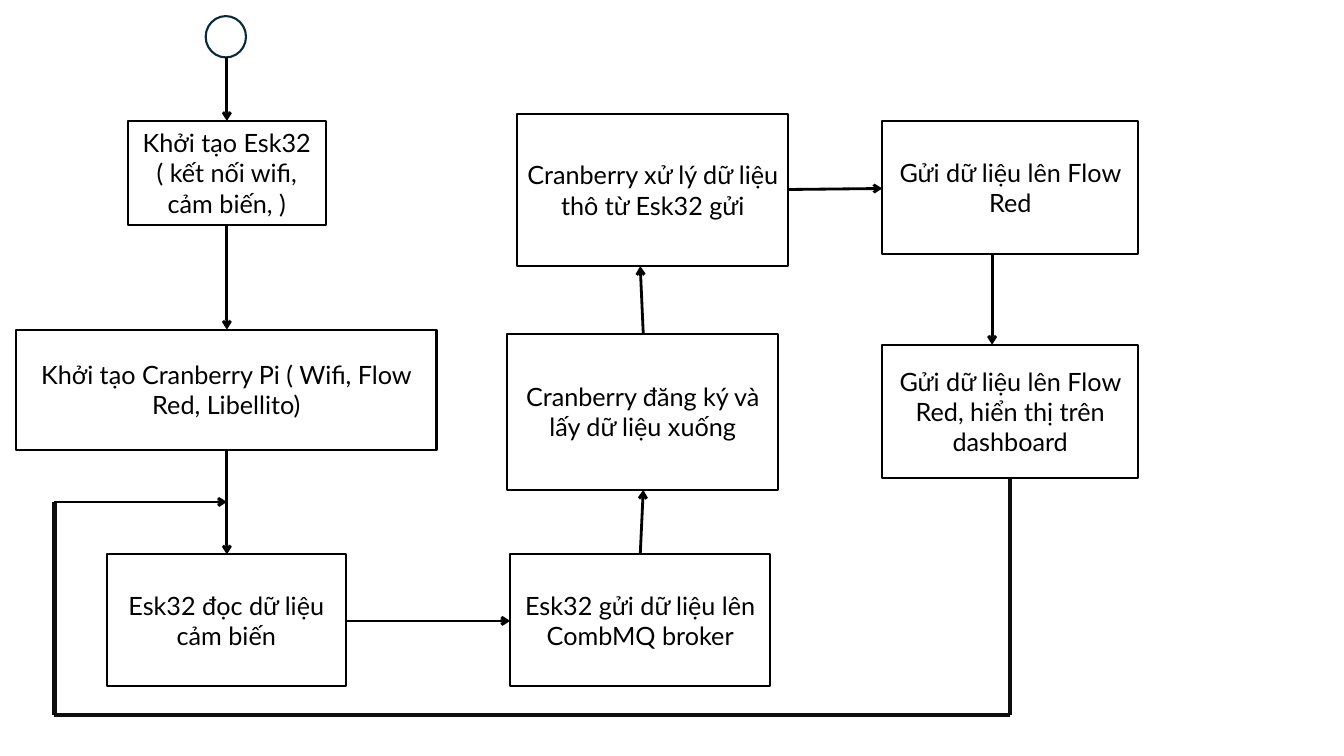
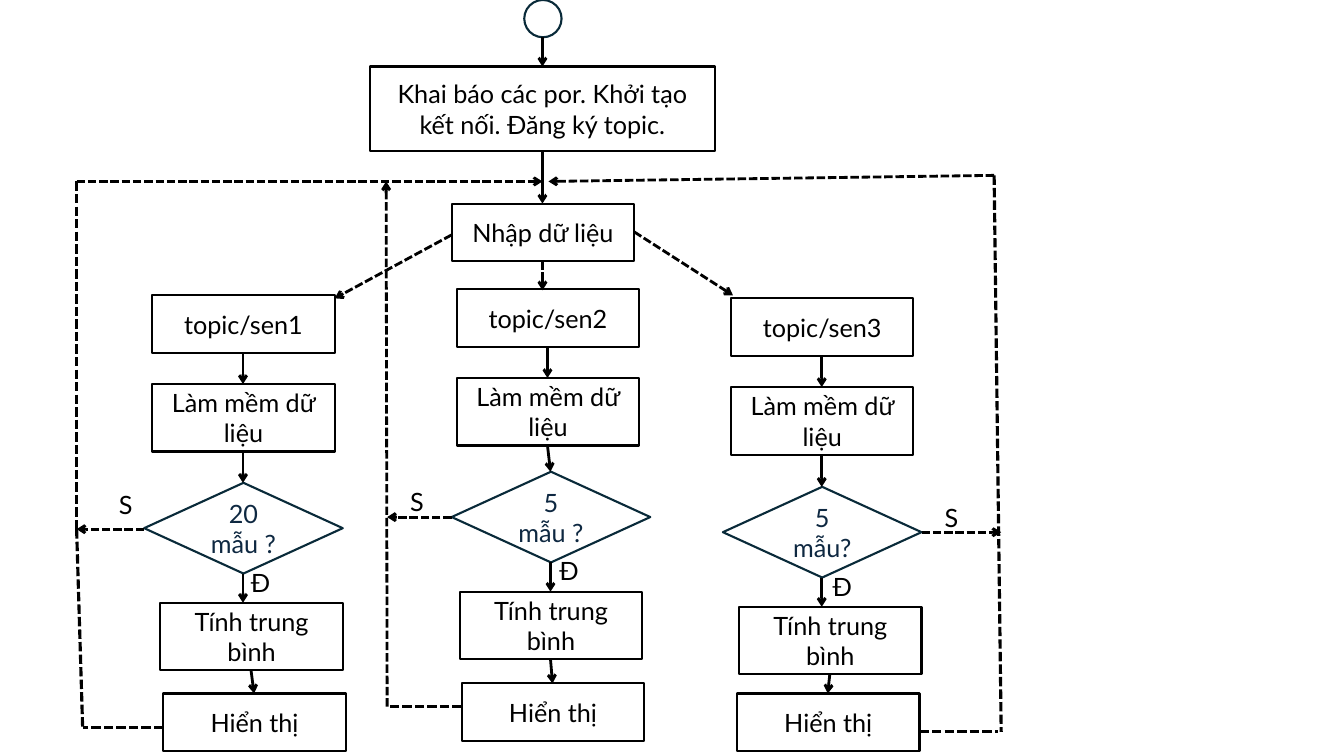
from lxml import etree
from pptx import Presentation
from pptx.dml.color import RGBColor
from pptx.enum.dml import MSO_LINE
from pptx.enum.shapes import MSO_CONNECTOR, MSO_SHAPE
from pptx.enum.text import MSO_ANCHOR, PP_ALIGN
from pptx.oxml.ns import qn
from pptx.util import Pt

RECT = MSO_SHAPE.RECTANGLE
START = MSO_SHAPE.FLOWCHART_CONNECTOR
DECISION = MSO_SHAPE.FLOWCHART_DECISION
STRAIGHT = MSO_CONNECTOR.STRAIGHT
DASH = MSO_LINE.SQUARE_DOT
MIDDLE = MSO_ANCHOR.MIDDLE
CENTER = PP_ALIGN.CENTER

BLACK = RGBColor(0x00, 0x00, 0x00)
WHITE = RGBColor(0xFF, 0xFF, 0xFF)
LOOP_LINE = RGBColor(0x0D, 0x0D, 0x0D)
TEAL = RGBColor(0x09, 0x2A, 0x39)
NAVY = RGBColor(0x0E, 0x28, 0x41)

PX = 9144  # 100 px to the inch
FONT = {"name": "Lato", "size": Pt(18)}
BOX_W, BOX_H = 181, 57
TALL_H = 67  # holds two lines of text


def add_node(s, kind, x, y, w, h, text="", line=BLACK, color=BLACK):
    """Outlined white shape with one centred paragraph per text line."""
    sp = s.shapes.add_shape(kind, x * PX, y * PX, w * PX, h * PX)
    sp.shadow.inherit = False
    sp.fill.solid()
    sp.fill.fore_color.rgb = WHITE
    sp.line.color.rgb = line
    sp.line.width = Pt(1.5)
    tf = sp.text_frame
    tf.word_wrap = True
    tf.vertical_anchor = MIDDLE
    tf.margin_top = tf.margin_bottom = 0
    tf.text = text
    for p in tf.paragraphs:
        p.alignment = CENTER
        for r in p.runs:
            for key, value in FONT.items():
                setattr(r.font, key, value)
            r.font.color.rgb = color


def add_link(s, x1, y1, x2, y2, arrow=True, dash=False, width=2, color=BLACK):
    """Straight line, with an arrowhead at its end if wanted."""
    c = s.shapes.add_connector(STRAIGHT, x1 * PX, y1 * PX, x2 * PX, y2 * PX)
    c.line.color.rgb = color
    c.line.width = Pt(width)
    if dash:
        c.line.dash_style = DASH
    props = c._element.spPr
    if arrow:
        etree.SubElement(props.find(qn("a:ln")), qn("a:tailEnd"), type="arrow")
    etree.SubElement(props, qn("a:effectLst"))


prs = Presentation()
prs.slide_width, prs.slide_height = 1333 * PX, 750 * PX
blank = prs.slide_layouts[6]

# Slide 1: data flow from sensor to dashboard
s = prs.slides.add_slide(blank)
add_node(s, START, 204, 16, 40, 41, line=TEAL)
for x, y, w, h, text in [
    (127, 120, 196, 103, "Khởi tạo Esk32\n( kết nối wifi, cảm biến, )"),
    (16, 327, 417, 119, "Khởi tạo Cranberry Pi ( Wifi, Flow Red, Libellito)"),
    (106, 550, 237, 131, "Esk32 đọc dữ liệu cảm biến"),
    (506, 550, 258, 131, "Esk32 gửi dữ liệu lên CombMQ broker"),
    (503, 331, 269, 155, "Cranberry đăng ký và lấy dữ liệu xuống"),
    (513, 113, 269, 151, "Cranberry xử lý dữ liệu thô từ Esk32 gửi"),
    (875, 120, 254, 132, "Gửi dữ liệu lên Flow Red"),
    (875, 342, 254, 132, "Gửi dữ liệu lên Flow Red, hiển thị trên dashboard"),
]:
    add_node(s, RECT, x, y, w, h, text)

for ends in [
    (225, 57, 225, 120),
    (225, 223, 225, 327),
    (225, 446, 225, 550),
    (343, 616, 506, 616),
    (635, 550, 638, 486),
    (638, 331, 635, 264),
    (782, 188, 875, 187),
    (984, 252, 984, 342),
]:
    add_link(s, *ends)

# Return loop
for ends in [(1002, 474, 1002, 709), (54, 709, 1002, 709), (54, 498, 54, 709)]:
    add_link(s, *ends, arrow=False, width=3, color=LOOP_LINE)
add_link(s, 54, 498, 225, 498)

# Slide 2: topic handling
s = prs.slides.add_slide(blank)
add_node(s, START, 520, 0, 37, 37, line=TEAL)
add_node(s, RECT, 367, 66, 342, 84,
         "Khai báo các por. Khởi tạo kết nối. Đăng ký topic.")
add_node(s, RECT, 448, 202, BOX_W, BOX_H, "Nhập dữ liệu")
add_link(s, 538, 37, 538, 66)
add_link(s, 538, 150, 538, 202)

# One column per topic: box, decision and display positions
for topic, question, x, y, dec_x, dec_y, avg_x, show_x, show_y in [
    ("topic/sen1", "20 mẫu ?", 151, 293, 143, 479, 159, 162, 688),
    ("topic/sen2", "5\nmẫu ?", 453, 287, 448, 468, 456, 458, 678),
    ("topic/sen3", "5\nmẫu?", 725, 296, 717, 483, 733, 731, 688),
]:
    smooth_y, avg_y = y + 88, dec_y + 119
    for box_x, box_y, h, text in [
        (x, y, BOX_H, topic),
        (x, smooth_y, TALL_H, "Làm mềm dữ liệu"),
        (avg_x, avg_y, TALL_H, "Tính trung bình"),
        (show_x, show_y, BOX_H, "Hiển thị"),
    ]:
        add_node(s, RECT, box_x, box_y, BOX_W, h, text)
    add_node(s, DECISION, dec_x, dec_y, 197, 90, question, TEAL, NAVY)
    mid, dec_mid = x + 90, dec_x + 98
    add_link(s, mid, y + BOX_H, mid, smooth_y)
    add_link(s, mid, smooth_y + TALL_H, dec_mid, dec_y)
    add_link(s, dec_mid, dec_y + 90, dec_mid, avg_y)
    add_link(s, avg_x + 90, avg_y + TALL_H, show_x + 90, show_y)

# Dashed arrows: to the topics, out of the decisions, back to the input
for ends in [
    (448, 233, 332, 296),
    (538, 259, 538, 288),
    (629, 230, 727, 293),
    (143, 525, 76, 525),
    (448, 513, 384, 513),
    (914, 528, 993, 528),
    (76, 180, 538, 180),
    (384, 701, 383, 180),
    (986, 174, 544, 180),
]:
    add_link(s, *ends, dash=True)

# Dashed return lines
for ends in [
    (76, 180, 76, 526),
    (76, 525, 82, 722),
    (162, 722, 82, 722),
    (458, 701, 384, 701),
    (912, 726, 990, 726),
    (986, 174, 993, 726),
]:
    add_link(s, *ends, arrow=False, dash=True, width=2.25)

# Branch labels
for x, y, text in [
    (108, 481, "S"), (397, 478, "S"), (927, 493, "S"),
    (239, 558, "Đ"), (545, 546, "Đ"), (816, 562, "Đ"),
]:
    tf = s.shapes.add_textbox(x * PX, y * PX, 38 * PX, 40 * PX).text_frame
    tf.word_wrap = True
    r = tf.paragraphs[0].add_run()
    r.text = text
    for key, value in FONT.items():
        setattr(r.font, key, value)
    r.font.color.rgb = BLACK

prs.save("out.pptx")
